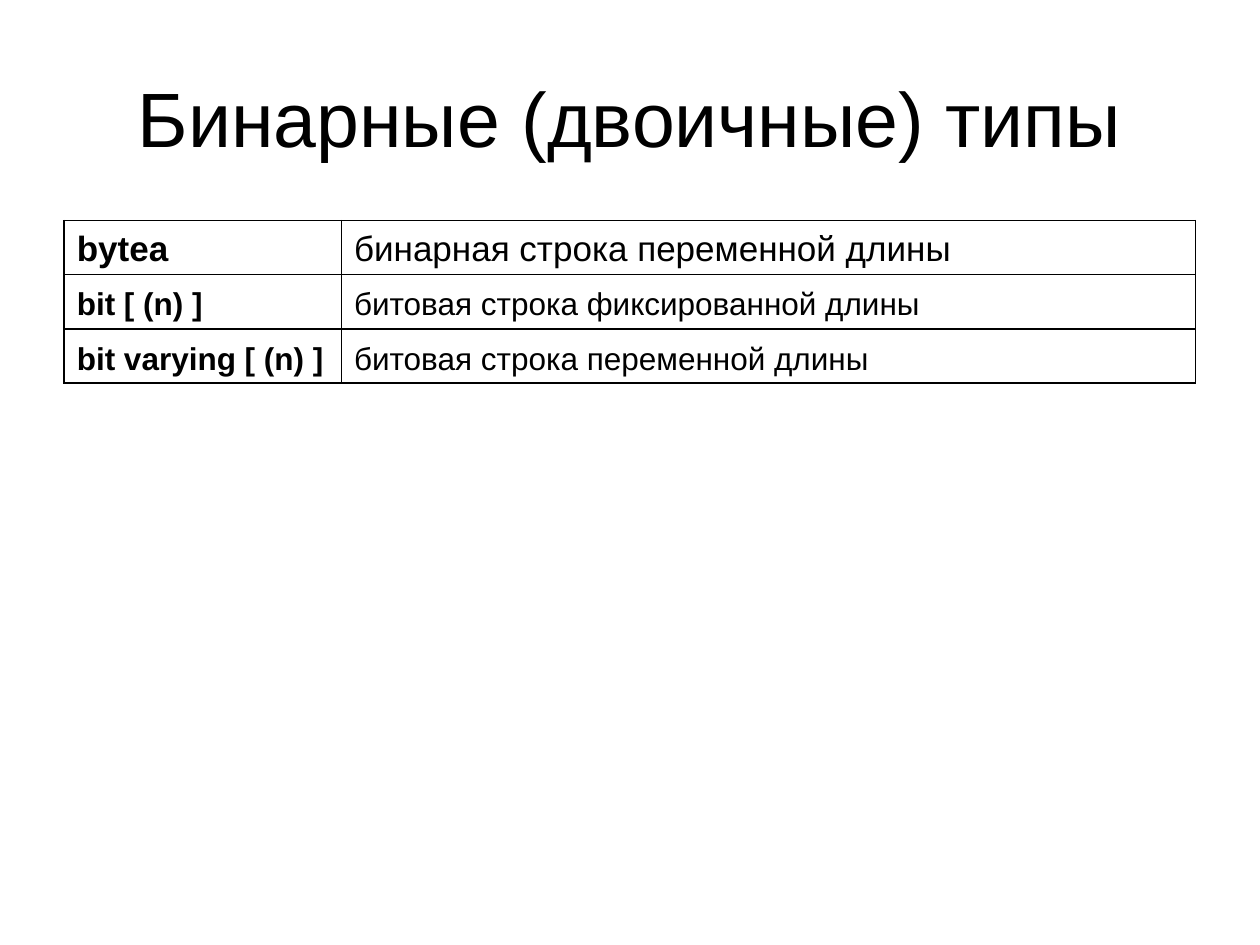
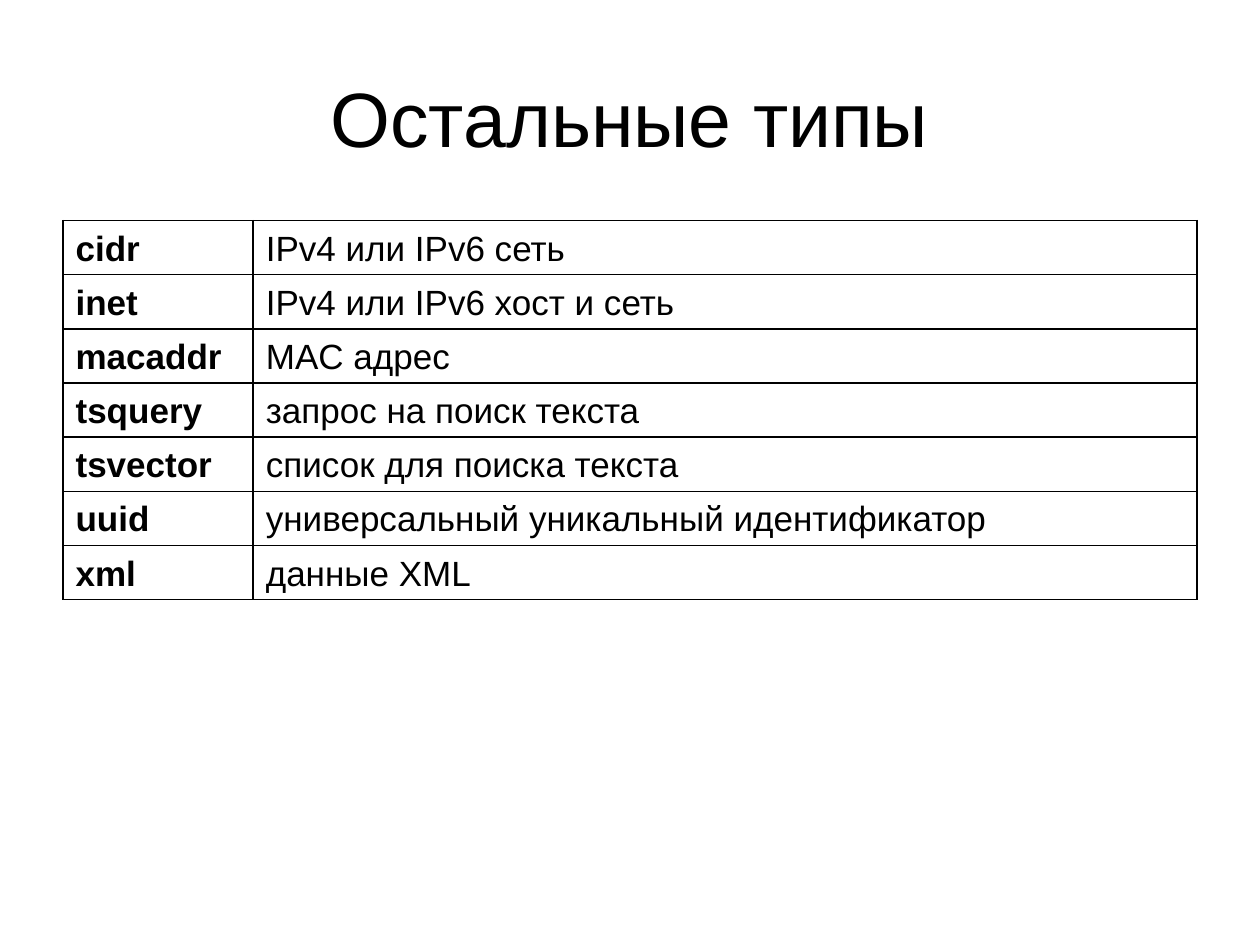
"""Build two slides that list database column types in bordered tables."""
import pptx
import pptx.dml.color
import pptx.enum.text
import pptx.oxml.ns
import pptx.util
from lxml import etree
from pptx.util import Inches

SLIDES = [
    {
        "title": "Бинарные (двоичные) типы",
        "left": 0.51, "columns": (2.2, 6.78), "hanging": 0,
        "rows": [
            ("bytea", "бинарная строка переменной длины", 20),
            ("bit [ (n) ]", "битовая строка фиксированной длины", 18),
            ("bit varying [ (n) ]", "битовая строка переменной длины", 18),
        ],
    },
    {
        "title": "Остальные типы",
        "left": 0.5, "columns": (1.51, 7.49), "hanging": 0.38,
        "rows": [
            ("cidr", "IPv4 или IPv6 сеть", 20),
            ("inet", "IPv4 или IPv6 хост и сеть", 20),
            ("macaddr", "MAC адрес", 20),
            ("tsquery", "запрос на поиск текста", 20),
            ("tsvector", "список для поиска текста", 20),
            ("uuid", "универсальный уникальный идентификатор", 20),
            ("xml", "данные XML", 20),
        ],
    },
]
FONT = "Arial"
BLACK, WHITE = "000000", "FFFFFF"
TITLE_BOX = (0.5, 0.3, 9, 1.25)
TABLE_TOP, ROW_HEIGHT = 1.75, 0.43


def rgb(value):
    return pptx.dml.color.RGBColor.from_string(value)


def write(tf, text, size, bold=False):
    p = tf.paragraphs[0]
    r = p.add_run()
    r.text = text
    formats = {"name": FONT, "size": pptx.util.Pt(size), "bold": bold}
    for name, value in formats.items():
        setattr(r.font, name, value)
    r.font.color.rgb = rgb(BLACK)
    return p


def add_title(s, text):
    sp = s.shapes.title
    box = zip(("left", "top", "width", "height"), TITLE_BOX)
    for name, value in box:
        setattr(sp, name, Inches(value))
    tf = sp.text_frame
    tf.word_wrap = True
    tf.vertical_anchor = pptx.enum.text.MSO_ANCHOR.MIDDLE
    write(tf, text, 44).alignment = pptx.enum.text.PP_ALIGN.CENTER


def add_borders(cell):
    qn = pptx.oxml.ns.qn
    tc_pr = cell._tc.get_or_add_tcPr()
    for side in "LRTB":
        line = etree.SubElement(tc_pr, qn(f"a:ln{side}"), w=str(pptx.util.Pt(1)))
        fill = etree.SubElement(line, qn("a:solidFill"))
        etree.SubElement(fill, qn("a:srgbClr"), val=BLACK)


def fill_cell(cell, text, size, bold, hanging):
    add_borders(cell)
    cell.fill.background()
    cell.vertical_anchor = pptx.enum.text.MSO_ANCHOR.BOTTOM
    p = write(cell.text_frame, text, size, bold)
    if hanging:
        p_pr = p._p.get_or_add_pPr()
        p_pr.set("marL", str(Inches(hanging)))
        p_pr.set("indent", str(-Inches(hanging)))


def add_type_table(s, left, columns, hanging, rows):
    sp = s.shapes.add_table(
        len(rows), len(columns), Inches(left), Inches(TABLE_TOP),
        Inches(sum(columns)), Inches(ROW_HEIGHT * len(rows)))
    table = sp.table
    table.first_row = table.horz_banding = False
    for column, width in zip(table.columns, columns):
        column.width = Inches(width)
    for row, (type_name, meaning, size) in zip(table.rows, rows):
        row.height = Inches(ROW_HEIGHT)
        fill_cell(row.cells[0], type_name, size, True, hanging)
        fill_cell(row.cells[1], meaning, size, False, hanging)


def main():
    prs = pptx.Presentation()
    prs.slide_width, prs.slide_height = Inches(10), Inches(7.5)
    for content in SLIDES:
        s = prs.slides.add_slide(prs.slide_layouts[5])
        s.background.fill.solid()
        s.background.fill.fore_color.rgb = rgb(WHITE)
        add_title(s, content["title"])
        add_type_table(s, content["left"], content["columns"],
                       content["hanging"], content["rows"])
    prs.save("out.pptx")


if __name__ == "__main__":
    main()
